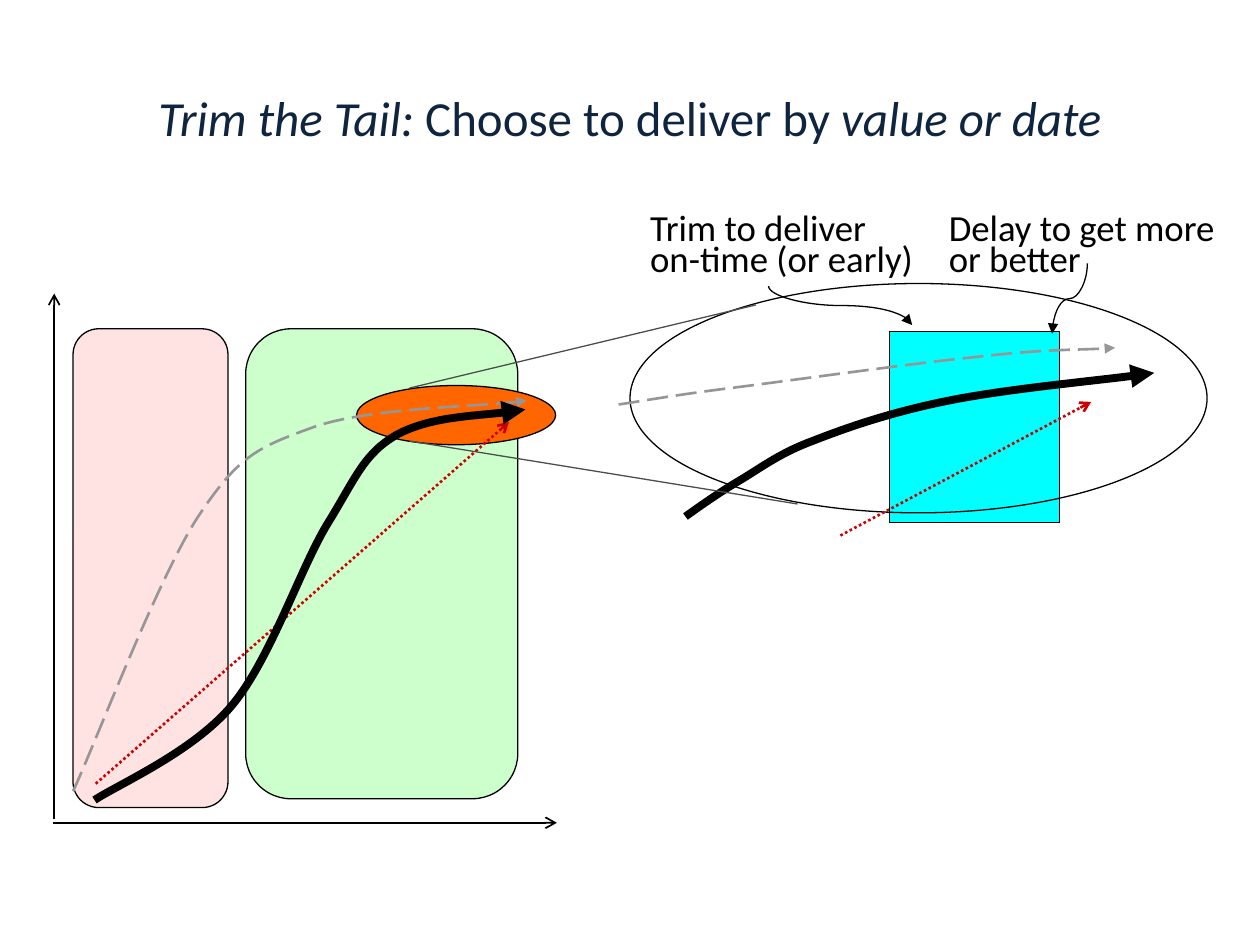
from lxml.etree import SubElement
from pptx import Presentation
from pptx.dml.color import RGBColor
from pptx.enum.dml import MSO_LINE
from pptx.enum.shapes import MSO_CONNECTOR as Link, MSO_SHAPE as Preset
from pptx.enum.text import MSO_ANCHOR as Anchor, MSO_AUTO_SIZE as AutoSize, PP_ALIGN as Align
from pptx.oxml.ns import qn
from pptx.util import Inches, Pt

COLUMNS, ROWS = 100, 75
UNIT = Inches(10) / COLUMNS
BLACK, GREY, RED, NAVY = "000000", "969696", "CC0000", "0F243E"


def color(value):
    return RGBColor.from_string(value)


def grid(*lengths):
    return [round(length * UNIT) for length in lengths]


class Sketch:
    font = "Calibri"
    thin = 0.75

    def __init__(self, page):
        self.page = page
        self.shapes = page.shapes

    def outline(self, shape, ink=BLACK, weight=thin, dash=None, arrow=None):
        shape.line.color.rgb = color(ink)
        shape.line.width = Pt(weight)
        if dash is not None:
            shape.line.dash_style = dash
        if arrow:
            line = shape._element.spPr.find(qn("a:ln"))
            SubElement(line, qn("a:tailEnd"), type=arrow)

    def title(self, place, runs):
        box = self.shapes.title
        box.left, box.top, box.width, box.height = grid(*place)
        box.text_frame.vertical_anchor = Anchor.MIDDLE
        para = box.text_frame.paragraphs[0]
        para.alignment = Align.CENTER
        self.type(para, 28, NAVY)
        for text, italic in runs:
            span = para.add_run()
            span.text = text
            span.font.italic = italic

    def type(self, para, size, ink):
        para.font.name = self.font
        para.font.size = Pt(size)
        para.font.color.rgb = color(ink)

    def label(self, place, text):
        frame = self.shapes.add_textbox(*grid(*place)).text_frame
        frame.margin_left = frame.margin_right = 0
        frame.margin_top = frame.margin_bottom = 0
        frame.word_wrap = False
        frame.auto_size = AutoSize.SHAPE_TO_FIT_TEXT
        frame.text = text
        for para in frame.paragraphs:
            para.line_spacing = 0.7
            self.type(para, 21, BLACK)

    def shape(self, preset, place, fill=None):
        shape = self.shapes.add_shape(preset, *grid(*place))
        shape.shadow.inherit = False
        if fill:
            shape.fill.solid()
            shape.fill.fore_color.rgb = color(fill)
        else:
            shape.fill.background()
        self.outline(shape)

    def line(self, start, end, kind=Link.STRAIGHT, **style):
        link = self.shapes.add_connector(kind, *grid(*start, *end))
        self.outline(link, **style)
        SubElement(link._element.spPr, qn("a:effectLst"))
        return link

    def pointer(self, start, end):
        (x1, y1), (x2, y2) = start, end
        link = self.line(start, end, Link.CURVE, arrow="triangle")
        wide, high = abs(x2 - x1), abs(y2 - y1)
        link.left, link.top, link.width, link.height = grid(
            (x1 + x2 - high) / 2, (y1 + y2 - wide) / 2, high, wide)
        frame = link._element.spPr.find(qn("a:xfrm"))
        rightward = x2 > x1
        frame.set("rot", str((270 if rightward else 90) * 60000))
        frame.set("flipH", str(int(rightward)))

    def curve(self, *points, **style):
        start, *rest = [grid(*point) for point in points]
        builder = self.shapes.build_freeform(*start)
        builder.add_line_segments(rest, close=False)
        shape = builder.convert_to_shape()
        steps = list(shape._element.iter(qn("a:lnTo")))
        for first in range(0, len(steps), 3):
            track = steps[first].getparent()
            bend = SubElement(track, qn("a:cubicBezTo"))
            for step in steps[first:first + 3]:
                bend.append(step[0])
                track.remove(step)
        shape.shadow.inherit = False
        shape.fill.background()
        self.outline(shape, arrow="triangle", **style)


deck = Presentation()
deck.slide_width, deck.slide_height = grid(COLUMNS, ROWS)
sketch = Sketch(deck.slides.add_slide(deck.slide_layouts[5]))

early = dict(ink=GREY, weight=1.5, dash=MSO_LINE.LONG_DASH)
steady = dict(ink=RED, weight=1.5, dash=MSO_LINE.ROUND_DOT, arrow="arrow")
main = dict(weight=4.5)
axis = dict(weight=1, arrow="arrow")
zoom = dict(ink="4D4D4D")

sketch.shape(Preset.RECTANGLE, (70.6, 26.3, 13.5, 15.2), "00FFFF")
sketch.label((51.6, 17.2, 21.1, 4.1), "Trim to deliver\non-time (or early)")
sketch.pointer((61, 22.7), (72.4, 25.8))
sketch.label((75.3, 17.2, 21.8, 4.1), "Delay to get more\nor better")
sketch.pointer((86.3, 20.9), (83.5, 26.5))
sketch.title((5, 3, 90, 12.5), [
    ("Trim the Tail:", True), (" Choose to deliver by ", False), ("value or date", True)])

sketch.line((4.3, 65), (4.3, 23.3), **axis)
sketch.line((4.2, 65.3), (44.2, 65.3), **axis)
sketch.shape(Preset.ROUNDED_RECTANGLE, (19.5, 26.1, 21.6, 37.3), "CCFFCC")
sketch.shape(Preset.ROUNDED_RECTANGLE, (5.8, 26.1, 12.3, 38), "FFE3E3")
sketch.shape(Preset.OVAL, (28.3, 30.6, 15.8, 4.7), "FF6600")
sketch.curve(
    (5.8, 62.8), (7.5, 59.2), (12.6, 45.7), (15.8, 40.9), (19, 36.1), (20.5, 35.5),
    (24.9, 33.9), (29.2, 32.4), (38.3, 32.3), (41.8, 31.8), **early)
sketch.line((7.6, 62.2), (40.4, 33.5), **steady)
sketch.curve(
    (7.5, 63.5), (9.3, 62.3), (15.3, 59.7), (18.4, 56), (21.5, 52.3), (23.9, 44.9),
    (26.1, 41.4), (28.3, 37.8), (28.9, 36), (31.5, 34.5), (34.1, 33.1), (39.6, 32.9),
    (41.7, 32.5), **main)

sketch.shape(Preset.OVAL, (50, 22.5, 45.8, 18.2))
sketch.curve(
    (49.1, 32.1), (50.6, 31.9), (53.2, 31.4), (58, 30.8), (62.8, 30.2), (72.7, 28.8),
    (77.8, 28.3), (82.9, 27.7), (86.3, 27.8), (88.5, 27.6), **early)
sketch.curve(
    (54.4, 41), (55.1, 40.5), (56.9, 39.2), (58.6, 38.2), (60.3, 37.2), (61.8, 36),
    (64.5, 35), (67.3, 33.9), (70.8, 32.7), (75.3, 31.8), (79.8, 30.9), (88.3, 30.1),
    (91.6, 29.6), **main)
sketch.line((66.7, 42.5), (86.6, 31.9), **steady)
sketch.line((60, 24.2), (32.5, 30.8), **zoom)
sketch.line((32.5, 35), (63.3, 40), **zoom)

deck.save("out.pptx")
